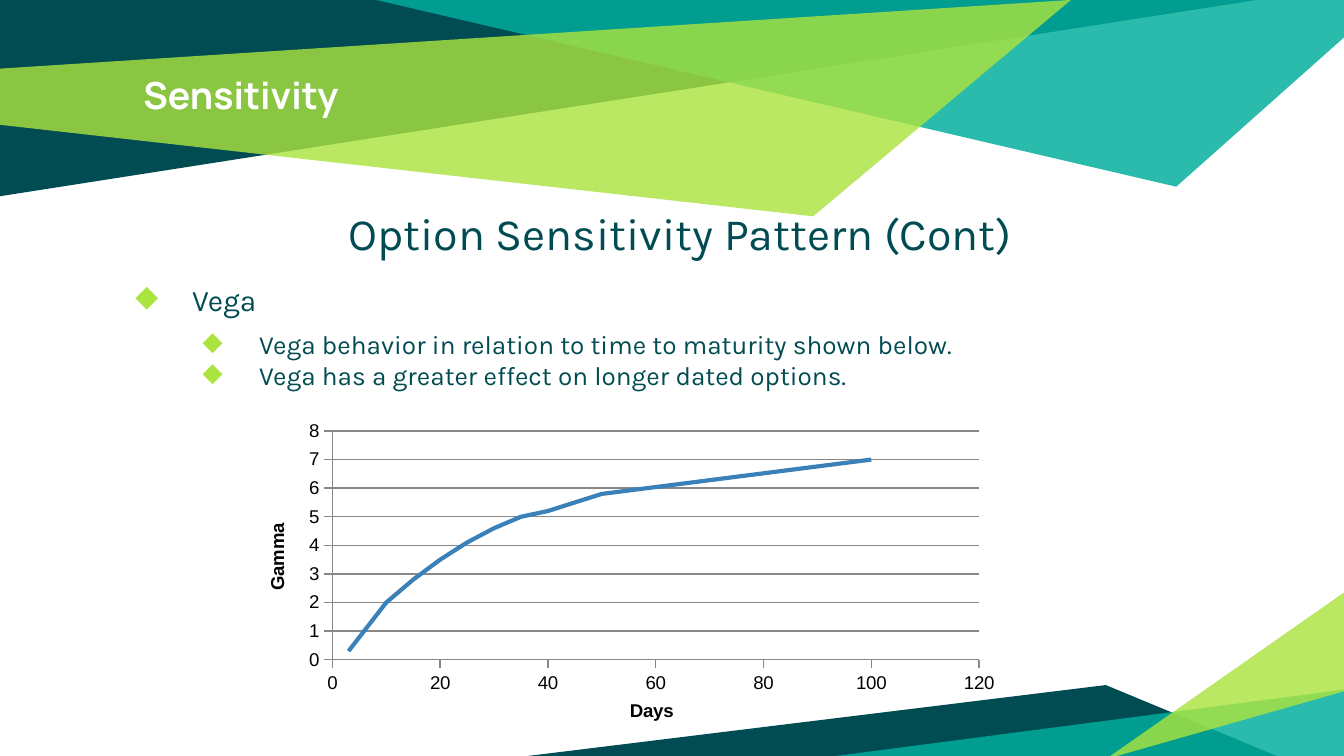
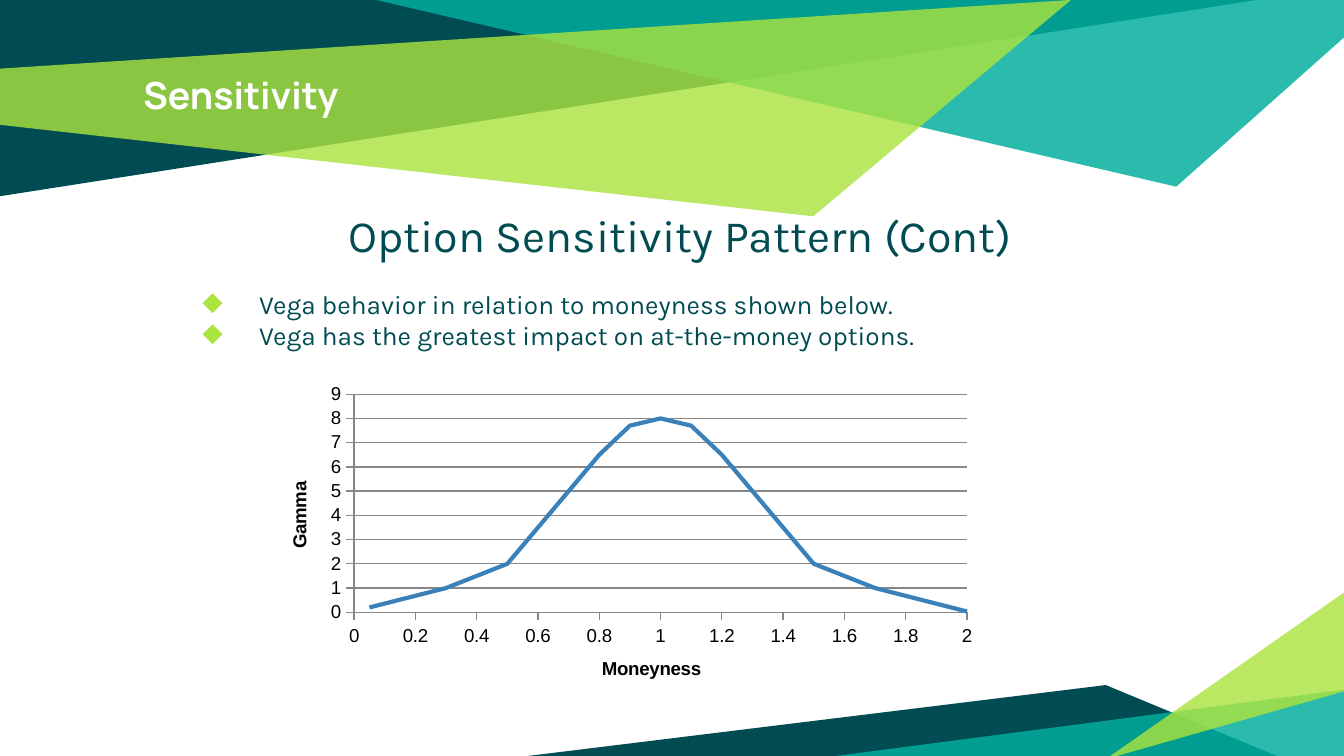
from dataclasses import dataclass
from typing import Optional

from lxml.etree import SubElement
from pptx import Presentation
from pptx.chart.data import XyChartData
from pptx.dml.color import RGBColor as RGB
from pptx.enum.chart import XL_CHART_TYPE as ChartType, XL_TICK_MARK as Tick
from pptx.enum.text import MSO_ANCHOR as Anchor, MSO_AUTO_SIZE as AutoSize, PP_ALIGN as Align
from pptx.oxml.ns import qn
from pptx.util import Cm, Pt

COLORS = {
    "dark": "004C52",
    "teal": "00AE9D",
    "lime": "ABE33F",
    "white": "FFFFFF",
    "black": "000000",
    "grid": "878787",
    "curve": "3A81BA",
}
TITLE_FONT, BODY_FONT, CHART_FONT = "Manrope", "Karla", "Arial"
TITLE_BOX = (2.46, 1.12, 20.47, 1.63)
HANGING = -1.07
INSET = 0.25


@dataclass(frozen=True)
class Facet:
    color: str
    points: tuple[tuple[float, float], ...]
    opacity: int = 100


@dataclass(frozen=True)
class Line:
    text: str
    size: int
    indent: float
    before: int = 0
    spacing: Optional[float] = None
    bullet: bool = True


@dataclass(frozen=True)
class Axis:
    title: str
    top: float
    step: float


@dataclass(frozen=True)
class Curve:
    box: tuple[float, float, float, float]
    plot: tuple[float, float, float, float]
    x_axis: Axis
    y_axis: Axis
    points: tuple[tuple[float, float], ...]


@dataclass(frozen=True)
class Page:
    body_box: tuple[float, float, float, float]
    lines: tuple[Line, ...]
    curve: Curve


FACETS = (
    Facet("dark", ((0, 0), (0, 3.71), (23.75, 0))),
    Facet("teal", ((7.11, 0), (22.23, 3.53), (25.4, 0.71), (25.4, 0)), 83),
    Facet("lime", ((-0.03, 1.3), (0, 2.36), (15.37, 4.09), (20.24, 0)), 81),
    Facet("dark", ((9.98, 14.29), (24.13, 14.29), (20.9, 12.95))),
    Facet("teal", ((25.45, 13.03), (25.45, 14.35), (15.34, 14.35)), 83),
    Facet("lime", ((25.43, 13.06), (25.43, 11.18), (20.9, 14.35)), 81),
)

HEADING = Line("Option Sensitivity Pattern (Cont)", 24, 0.2, before=6, bullet=False)

PAGES = (
    Page(
        (2.11, 3.63, 21.29, 10.11),
        (
            HEADING,
            Line("Vega", 16, 1.27, before=12),
            Line("Vega behavior in relation to time to maturity shown below.", 14, 2.54, before=6),
            Line("Vega has a greater effect on longer dated options.", 14, 2.54),
        ),
        Curve(
            (4.7, 7.95, 14.38, 5.79),
            (0.11, 0.03, 0.85, 0.75),
            Axis("Days", 120, 20),
            Axis("Gamma", 8, 1),
            ((3, 0.3), (10, 2), (15, 2.8), (20, 3.5), (25, 4.1), (30, 4.6),
             (35, 5), (40, 5.2), (45, 5.5), (45, 5.5), (50, 5.8), (100, 7))[:8]
            + ((45, 5.5), (50, 5.8), (100, 7)),
        ),
    ),
    Page(
        (2.11, 3.68, 21.29, 10.06),
        (
            HEADING,
            Line("Vega behavior in relation to moneyness shown below.", 14, 2.54, before=6, spacing=1.5),
            Line("Vega has the greatest impact on at-the-money options.", 14, 2.54),
        ),
        Curve(
            (4.9, 7.14, 13.79, 6.25),
            (0.13, 0.05, 0.84, 0.66),
            Axis("Moneyness", 2, 0.2),
            Axis("Gamma", 9, 1),
            ((0.05, 0.2), (0.3, 1), (0.5, 2), (0.7, 5), (0.8, 6.5), (0.9, 7.7), (1, 8),
             (1.1, 7.7), (1.2, 6.5), (1.3, 5), (1.5, 2), (1.7, 1), (2.01, 0)),
        ),
    ),
)


def rgb(name: str) -> RGB:
    return RGB.from_string(COLORS[name])


def style_font(font, name: str, size: int, color: str, bold: bool = False) -> None:
    font.name, font.size, font.bold = name, Pt(size), bold
    font.color.rgb = rgb(color)


def set_frame(tf) -> None:
    tf.word_wrap = True
    tf.auto_size = AutoSize.NONE
    tf.vertical_anchor = Anchor.TOP
    tf.margin_left = tf.margin_right = tf.margin_top = tf.margin_bottom = Cm(INSET)


def add_facets(slide, layout) -> None:
    for number, facet in enumerate(FACETS):
        start, *rest = [(Cm(x), Cm(y)) for x, y in facet.points]
        builder = slide.shapes.build_freeform(*start)
        builder.add_line_segments(rest, close=True)
        sp = builder.convert_to_shape()
        sp.name = f"Facet {number + 1}"
        sp.shadow.inherit = False
        sp.line.fill.background()
        sp.fill.solid()
        sp.fill.fore_color.rgb = rgb(facet.color)
        el = sp._element
        if facet.opacity < 100:
            color = next(el.spPr.iter(qn("a:srgbClr")))
            SubElement(color, qn("a:alpha"), val=str(facet.opacity * 1000))
        el.nvSpPr.cNvPr.set("id", str(100 + number))
        layout.shapes._spTree.insert(2 + number, el)


def add_title(slide, text: str) -> None:
    sp = slide.shapes.title
    sp.left, sp.top, sp.width, sp.height = map(Cm, TITLE_BOX)
    tf = sp.text_frame
    set_frame(tf)
    p = tf.paragraphs[0]
    p.alignment = Align.LEFT
    r = p.add_run()
    r.text = text
    style_font(r.font, TITLE_FONT, 20, "white", bold=True)


def add_body(slide, page: Page) -> None:
    tf = slide.shapes.add_textbox(*map(Cm, page.body_box)).text_frame
    set_frame(tf)
    for i, line in enumerate(page.lines):
        p = tf.add_paragraph() if i else tf.paragraphs[0]
        p.alignment = Align.LEFT if line.bullet else Align.CENTER
        p.space_before = Pt(line.before)
        if line.spacing:
            p.line_spacing = line.spacing
        pPr = p._p.get_or_add_pPr()
        pPr.set("marL", str(Cm(line.indent)))
        if line.bullet:
            pPr.set("indent", str(Cm(HANGING)))
            color = SubElement(pPr, qn("a:buClr"))
            SubElement(color, qn("a:srgbClr"), val=COLORS["lime"])
            SubElement(pPr, qn("a:buChar"), char="◆")
        r = p.add_run()
        r.text = line.text
        style_font(r.font, BODY_FONT, line.size, "dark")


def style_axis(axis, spec_axis: Axis, gridlines: bool) -> None:
    axis.minimum_scale, axis.maximum_scale = 0, spec_axis.top
    axis.major_unit = spec_axis.step
    axis.major_tick_mark, axis.minor_tick_mark = Tick.OUTSIDE, Tick.NONE
    axis.tick_labels.number_format = "General"
    axis.tick_labels.number_format_is_linked = False
    axis.has_major_gridlines = gridlines
    lines = [axis.format.line]
    if gridlines:
        lines.append(axis.major_gridlines.format.line)
    for line in lines:
        line.color.rgb = rgb("grid")
        line.width = Pt(0.75)
    r = axis.axis_title.text_frame.paragraphs[0].add_run()
    r.text = spec_axis.title
    style_font(r.font, CHART_FONT, 10, "black", bold=True)


def place_plot(chart, plot: tuple[float, float, float, float]) -> None:
    area = chart._chartSpace.chart.plotArea
    for old in area.findall(qn("c:layout")):
        area.remove(old)
    layout = SubElement(area, qn("c:layout"))
    area.insert(0, layout)
    manual = SubElement(layout, qn("c:manualLayout"))
    settings = [("layoutTarget", "inner"), ("xMode", "edge"), ("yMode", "edge")]
    for tag, val in settings + list(zip("xywh", plot)):
        SubElement(manual, qn(f"c:{tag}"), val=str(val))


def add_curve(slide, curve: Curve) -> None:
    data = XyChartData()
    series = data.add_series("Series 1")
    for x, y in curve.points:
        series.add_data_point(x, y)
    chart = slide.shapes.add_chart(
        ChartType.XY_SCATTER_SMOOTH_NO_MARKERS, *map(Cm, curve.box), data
    ).chart
    chart.has_title = chart.has_legend = False
    style_font(chart.font, CHART_FONT, 10, "black")
    plot = chart.plots[0]
    plot.vary_by_categories = False
    drawn = plot.series[0]
    drawn.smooth = True
    drawn.format.line.color.rgb = rgb("curve")
    drawn.format.line.width = Pt(2.25)
    style_axis(chart.category_axis, curve.x_axis, gridlines=False)
    style_axis(chart.value_axis, curve.y_axis, gridlines=True)
    place_plot(chart, curve.plot)


def main() -> None:
    prs = Presentation()
    prs.slide_width, prs.slide_height = Cm(25.4), Cm(14.29)
    layout = prs.slide_layouts.get_by_name("Title Only")
    for i, page in enumerate(PAGES):
        slide = prs.slides.add_slide(layout)
        if i == 0:
            add_facets(slide, layout)
        add_title(slide, "Sensitivity")
        add_body(slide, page)
        add_curve(slide, page.curve)
    prs.save("out.pptx")


if __name__ == "__main__":
    main()
